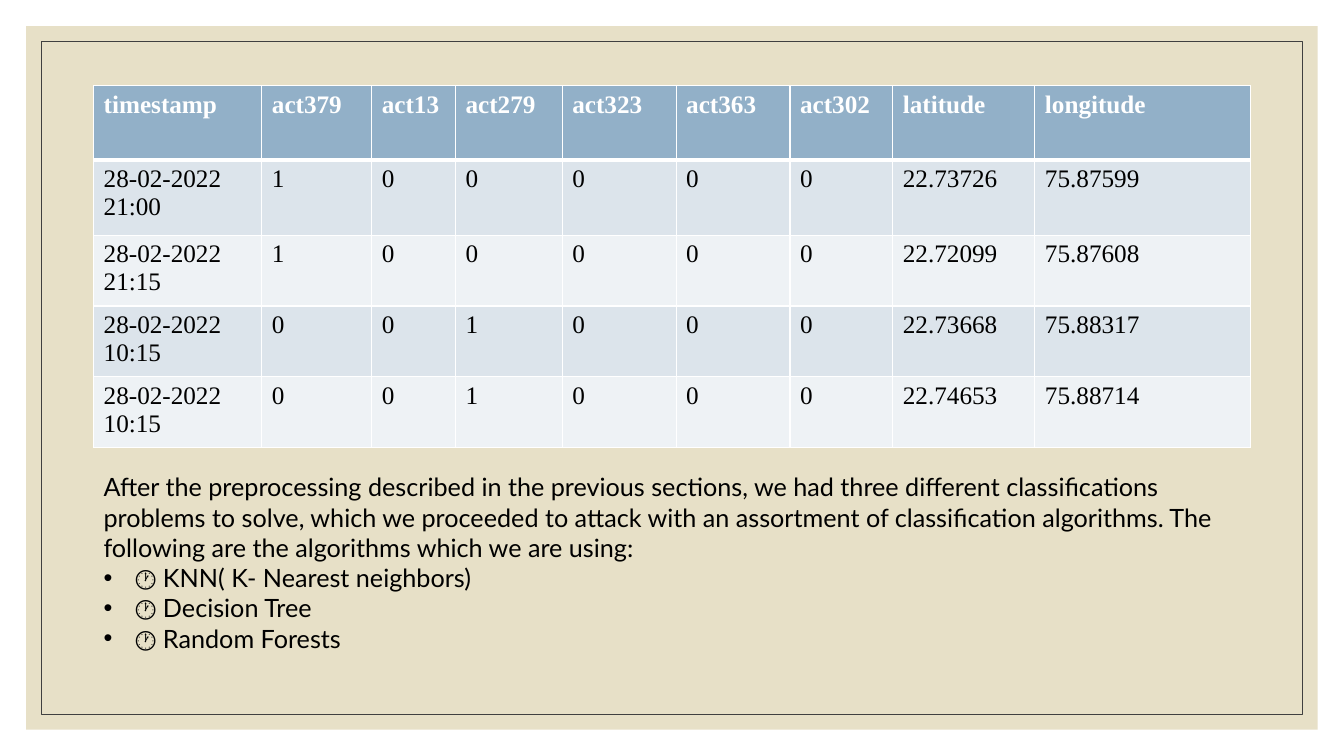
import dataclasses

import pptx
import pptx.dml.color
import pptx.enum.shapes
import pptx.enum.text
import pptx.oxml
import pptx.oxml.ns
import pptx.util

Cm = pptx.util.Cm
Pt = pptx.util.Pt


@dataclasses.dataclass(frozen=True)
class Theme:
    panel: str = "E7E0C7"
    frame: str = "404040"
    header: str = "92B0C8"
    bands: tuple = ("DCE4EB", "EEF2F5")
    white: str = "FFFFFF"
    text: str = "000000"
    table_font: str = "Times New Roman"
    body_font: str = "Lato"
    size: float = 18
    frame_line: float = 0.5
    grid_line: float = 0.96
    header_line: float = 3


THEME = Theme()
SLIDE_WIDTH, SLIDE_HEIGHT = 33.87, 19.05
PANEL_MARGIN, FRAME_MARGIN = 0.66, 1.04

COLUMN_WIDTHS = (4.24, 2.77, 2.11, 2.69, 2.87, 2.87, 2.59, 3.58, 5.44)
ROW_HEIGHTS = (1.87, 1.9, 1.78, 1.78, 1.78)
READINGS = (
    ("timestamp", "act379", "act13", "act279", "act323", "act363", "act302", "latitude", "longitude"),
    ("28-02-2022\n21:00", "1", "0", "0", "0", "0", "0", "22.73726", "75.87599"),
    ("28-02-2022\n21:15", "1", "0", "0", "0", "0", "0", "22.72099", "75.87608"),
    ("28-02-2022\n10:15", "0", "0", "1", "0", "0", "0", "22.73668", "75.88317"),
    ("28-02-2022\n10:15", "0", "0", "1", "0", "0", "0", "22.74653", "75.88714"),
)
INTRODUCTION = (
    "After the preprocessing described in the previous sections, we had three different "
    "classifications problems to solve, which we proceeded to attack with an assortment of "
    "classification algorithms. The following are the algorithms which we are using:"
)
ALGORITHMS = ("🕐 KNN( K- Nearest neighbors)", "🕐 Decision Tree", "🕐 Random Forests")


def rgb(value):
    return pptx.dml.color.RGBColor.from_string(value)


def xml(tag, content="", **attributes):
    listed = "".join(f' {key}="{value}"' for key, value in attributes.items())
    return pptx.oxml.parse_xml(
        f'<a:{tag} {pptx.oxml.ns.nsdecls("a")}{listed}>{content}</a:{tag}>')


def write(paragraph, text, font=THEME.body_font, color=THEME.text, bold=False, bullet=None, indent=0.79):
    """Fill one paragraph with formatted text."""
    run = paragraph.add_run()
    run.text = text
    run.font.name, run.font.size, run.font.bold = font, Pt(THEME.size), bold
    run.font.color.rgb = rgb(color)
    if bullet:
        properties = paragraph._p.get_or_add_pPr()
        properties.set("marL", str(Cm(indent)))
        properties.set("indent", str(-Cm(indent)))
        properties.append(xml("buFont", typeface="Arial"))
        properties.append(xml("buChar", char=bullet))


def set_borders(cell, top, bottom):
    """Draw the four cell edges; they come before the fill in the cell properties."""
    edges = {"lnL": THEME.grid_line, "lnR": THEME.grid_line, "lnT": top, "lnB": bottom}
    fill = f'<a:solidFill><a:srgbClr val="{THEME.white}"/></a:solidFill>'
    properties = cell._tc.get_or_add_tcPr()
    for position, (edge, width) in enumerate(edges.items()):
        properties.insert(position, xml(edge, fill, w=int(Pt(width))))


def add_rectangle(slide, margin, fill=None, line=None):
    """Place a rectangle at an equal distance from all slide edges."""
    rectangle = slide.shapes.add_shape(
        pptx.enum.shapes.MSO_SHAPE.RECTANGLE, Cm(margin), Cm(margin),
        Cm(SLIDE_WIDTH - 2 * margin), Cm(SLIDE_HEIGHT - 2 * margin))
    rectangle.shadow.inherit = False
    if fill:
        rectangle.fill.solid()
        rectangle.fill.fore_color.rgb = rgb(fill)
    else:
        rectangle.fill.background()
    if line:
        rectangle.line.color.rgb = rgb(line)
        rectangle.line.width = Pt(THEME.frame_line)
    else:
        rectangle.line.fill.background()


def add_backdrop(slide):
    add_rectangle(slide, PANEL_MARGIN, fill=THEME.panel)
    add_rectangle(slide, FRAME_MARGIN, line=THEME.frame)


def add_readings(slide, left, top):
    """Table of activity readings with a header and banded rows."""
    readings = slide.shapes.add_table(
        len(READINGS), len(COLUMN_WIDTHS), Cm(left), Cm(top),
        Cm(sum(COLUMN_WIDTHS)), Cm(sum(ROW_HEIGHTS))).table
    for column, width in zip(readings.columns, COLUMN_WIDTHS):
        column.width = Cm(width)
    for index, (row, height, values) in enumerate(zip(readings.rows, ROW_HEIGHTS, READINGS)):
        row.height = Cm(height)
        is_header = index == 0
        for cell, value in zip(row.cells, values):
            cell.fill.solid()
            cell.fill.fore_color.rgb = rgb(THEME.header if is_header else THEME.bands[(index - 1) % 2])
            set_borders(cell,
                        top=THEME.header_line if index == 1 else THEME.grid_line,
                        bottom=THEME.header_line if is_header else THEME.grid_line)
            for number, line in enumerate(value.split("\n")):
                paragraph = cell.text_frame.add_paragraph() if number else cell.text_frame.paragraphs[0]
                write(paragraph, line, font=THEME.table_font, bold=is_header,
                      color=THEME.white if is_header else THEME.text)


def add_algorithms(slide, left, top, width, height):
    """Introduction followed by the bulleted algorithms."""
    explanation = slide.shapes.add_textbox(Cm(left), Cm(top), Cm(width), Cm(height)).text_frame
    explanation.word_wrap = True
    explanation.auto_size = pptx.enum.text.MSO_AUTO_SIZE.SHAPE_TO_FIT_TEXT
    write(explanation.paragraphs[0], INTRODUCTION)
    for algorithm in ALGORITHMS:
        write(explanation.add_paragraph(), algorithm, bullet="•")


def main():
    presentation = pptx.Presentation()
    presentation.slide_width, presentation.slide_height = Cm(SLIDE_WIDTH), Cm(SLIDE_HEIGHT)
    slide = presentation.slides.add_slide(presentation.slide_layouts[6])
    add_backdrop(slide)
    add_readings(slide, left=2.36, top=2.16)
    add_algorithms(slide, left=2.36, top=11.76, width=29.13, height=4.83)
    presentation.save("out.pptx")


if __name__ == "__main__":
    main()
